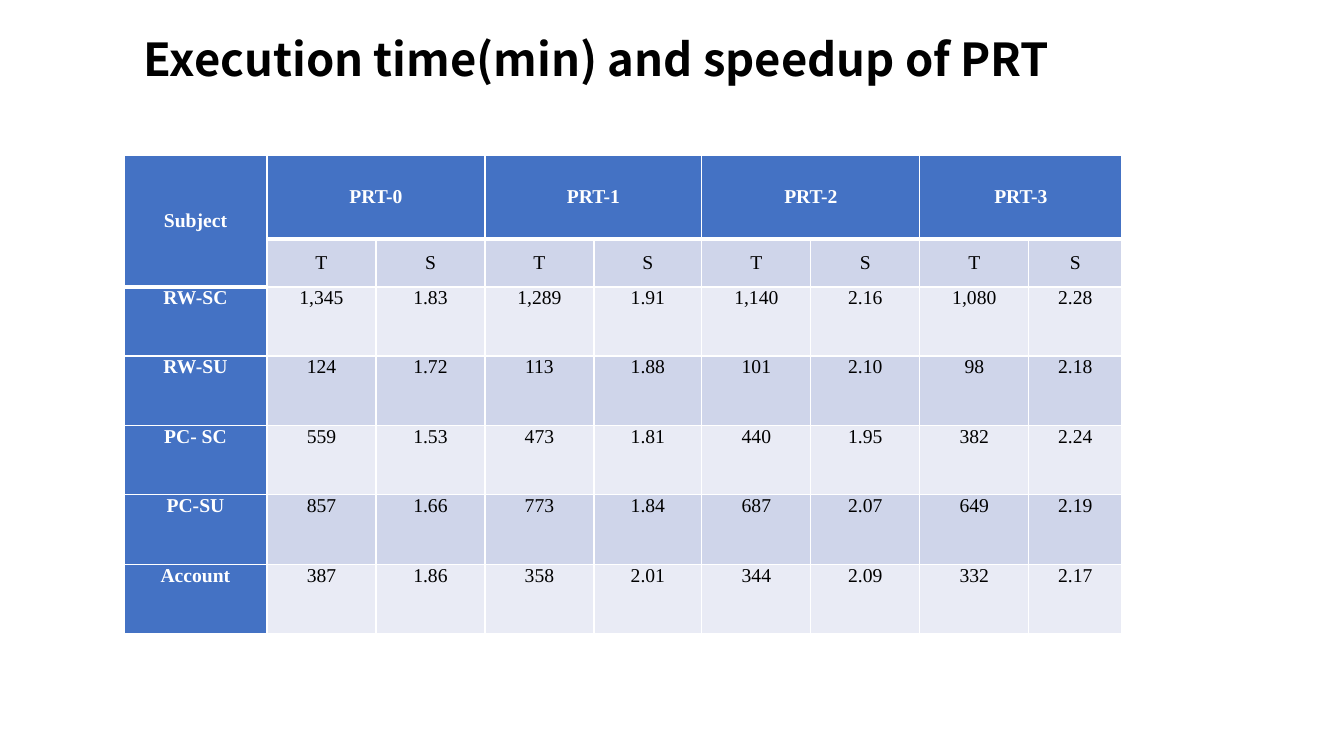
from dataclasses import dataclass

from lxml import etree
from pptx import Presentation
from pptx.dml.color import RGBColor
from pptx.enum.text import MSO_ANCHOR, MSO_AUTO_SIZE, PP_ALIGN
from pptx.oxml.ns import qn
from pptx.util import Emu, Pt

LEFT, CENTER = PP_ALIGN.LEFT, PP_ALIGN.CENTER
TOP, MIDDLE = MSO_ANCHOR.TOP, MSO_ANCHOR.MIDDLE
NO_AUTOFIT = MSO_AUTO_SIZE.NONE
TITLE_ONLY = 5
EMU_PER_PX = 914400 / 100.8


@dataclass(frozen=True)
class Theme:
    title_font: str = "Noto Sans CJK SC"
    table_font: str = "Times New Roman"
    title_size: float = 32.4
    table_size: float = 14
    black: str = "000000"
    white: str = "FFFFFF"
    header: str = "4472C4"
    bands: tuple = ("E9EBF5", "CFD5EA")
    thin: float = 1
    thick: float = 3


THEME = Theme()

TITLE = "Execution time(min) and speedup of PRT"
VERSIONS = ["PRT-0", "PRT-1", "PRT-2", "PRT-3"]
MEASURES = ["T", "S"]
RESULTS = [
    ["RW-SC", "1,345", "1.83", "1,289", "1.91", "1,140", "2.16", "1,080", "2.28"],
    ["RW-SU", "124", "1.72", "113", "1.88", "101", "2.10", "98", "2.18"],
    ["PC- SC", "559", "1.53", "473", "1.81", "440", "1.95", "382", "2.24"],
    ["PC-SU", "857", "1.66", "773", "1.84", "687", "2.07", "649", "2.19"],
    ["Account", "387", "1.86", "358", "2.01", "344", "2.09", "332", "2.17"],
]
COLUMN_WIDTHS = [143, 109, 109, 109, 108, 109, 109, 109, 93]
ROW_HEIGHTS = [84, 48, 69, 70, 69, 70, 69]


def px(length):
    return Emu(round(length * EMU_PER_PX))


def apply(target, values):
    for name, value in values.items():
        setattr(target, name, value)


def write_text(para, text, font, size, color, bold, align):
    span = para.add_run()
    span.text = text
    para.alignment = align
    apply(span.font, {"name": font, "size": Pt(size), "bold": bold})
    span.font.color.rgb = RGBColor.from_string(color)


def add_title(page):
    title = page.shapes.title
    apply(title, {"left": px(47), "top": px(37), "width": px(1205), "height": px(119)})
    frame = title.text_frame
    apply(frame, {
        "word_wrap": True, "auto_size": NO_AUTOFIT, "vertical_anchor": TOP,
        "margin_left": px(97), "margin_right": px(10),
        "margin_top": 0, "margin_bottom": 0,
    })
    para = frame.paragraphs[0]
    para.line_spacing = 0.9
    write_text(para, TITLE, THEME.title_font, THEME.title_size, THEME.black, True, LEFT)


def add_border(cell, side, width):
    line = etree.SubElement(cell._tc.get_or_add_tcPr(), qn(f"a:ln{side}"), w=str(Pt(width)))
    fill = etree.SubElement(line, qn("a:solidFill"))
    etree.SubElement(fill, qn("a:srgbClr"), val=THEME.white)


def is_heading(row, column):
    return row == 0 or (row == 1 and column == 0)


def format_cell(cell, row, column):
    # Borders come before the fill; a thick rule closes the heading cells
    bottom = THEME.thick if is_heading(row, column) else THEME.thin
    top = THEME.thick if row > 0 and is_heading(row - 1, column) else THEME.thin
    for side, width in zip("LRTB", (THEME.thin, THEME.thin, top, bottom)):
        add_border(cell, side, width)
    dark = row == 0 or column == 0
    cell.fill.solid()
    cell.fill.fore_color.rgb = RGBColor.from_string(
        THEME.header if dark else THEME.bands[row % 2])
    apply(cell, {
        "vertical_anchor": MIDDLE if row < 2 else TOP,
        "margin_left": px(7), "margin_right": px(7),
        "margin_top": 0, "margin_bottom": 0,
    })


def add_results_table(page):
    # The two heading rows, then the results
    versions = [text for version in VERSIONS for text in (version, "")]
    rows = [["Subject"] + versions, [""] + MEASURES * len(VERSIONS)] + RESULTS
    frame = page.shapes.add_table(
        len(rows), len(COLUMN_WIDTHS), px(124), px(155),
        px(sum(COLUMN_WIDTHS)), px(sum(ROW_HEIGHTS)))
    table = frame.table
    apply(table, {"first_row": False, "horz_banding": False})
    for column, width in zip(table.columns, COLUMN_WIDTHS):
        column.width = px(width)
    for row, height in zip(table.rows, ROW_HEIGHTS):
        row.height = px(height)

    # Cell text and format
    for i, texts in enumerate(rows):
        for j, text in enumerate(texts):
            cell = table.cell(i, j)
            format_cell(cell, i, j)
            if text:
                dark = i == 0 or j == 0
                write_text(cell.text_frame.paragraphs[0], text, THEME.table_font,
                           THEME.table_size, THEME.white if dark else THEME.black,
                           dark, CENTER)

    # Merged headings
    table.cell(0, 0).merge(table.cell(1, 0))
    for j in range(1, len(COLUMN_WIDTHS), len(MEASURES)):
        table.cell(0, j).merge(table.cell(0, j + 1))


def main():
    deck = Presentation()
    apply(deck, {"slide_width": px(1344), "slide_height": px(756)})
    page = deck.slides.add_slide(deck.slide_layouts[TITLE_ONLY])
    add_title(page)
    add_results_table(page)
    deck.save("out.pptx")


if __name__ == "__main__":
    main()
